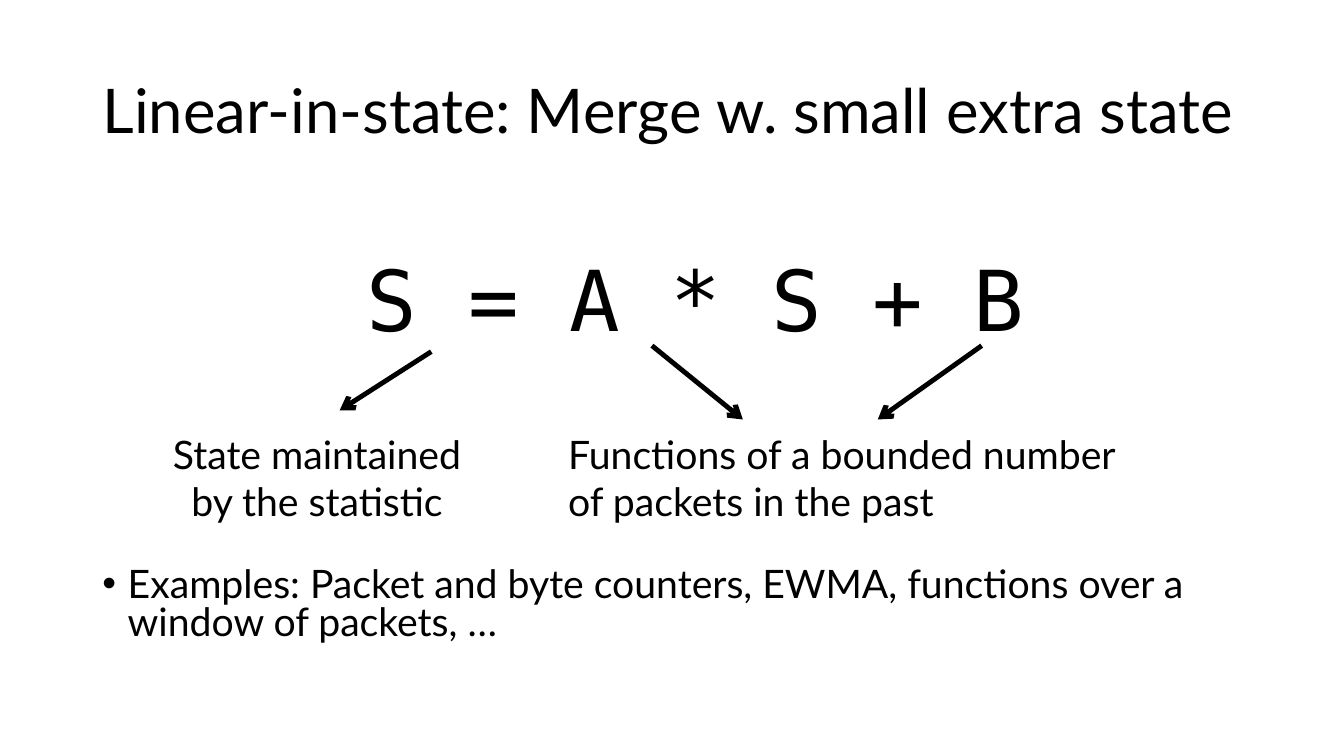
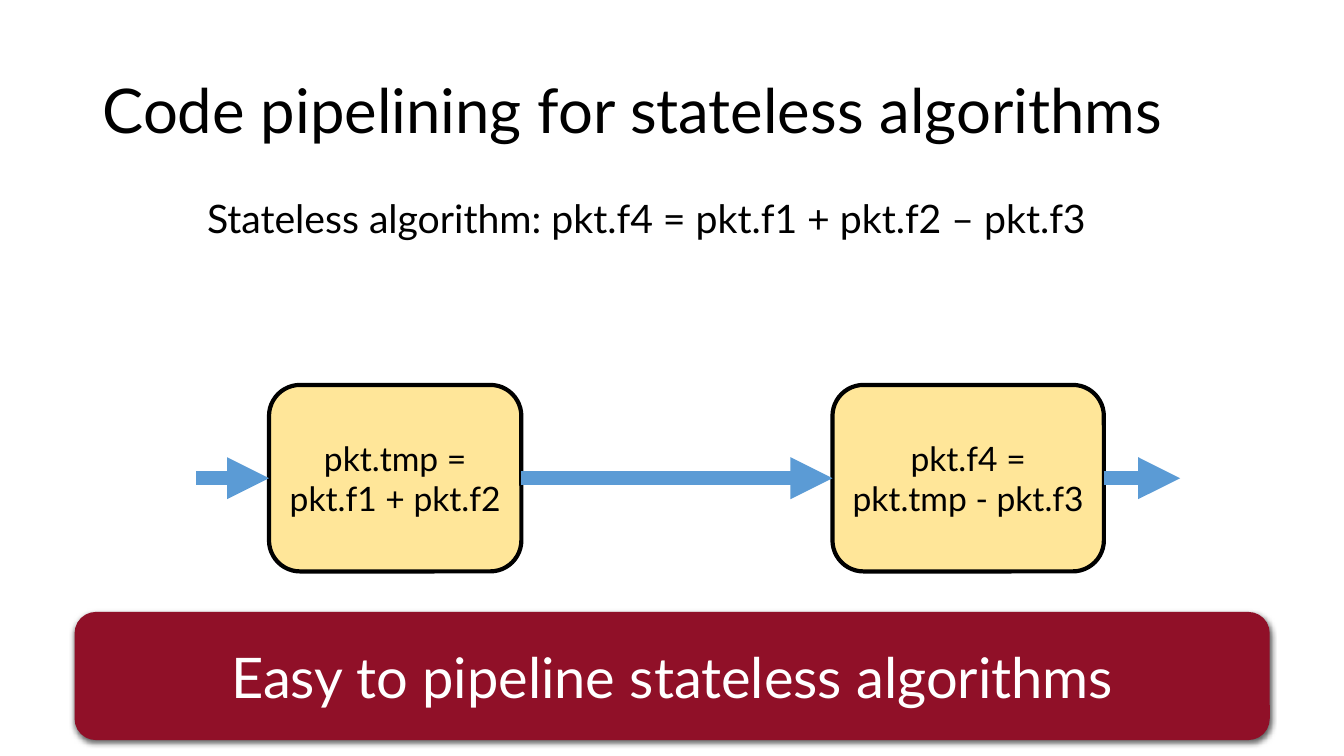
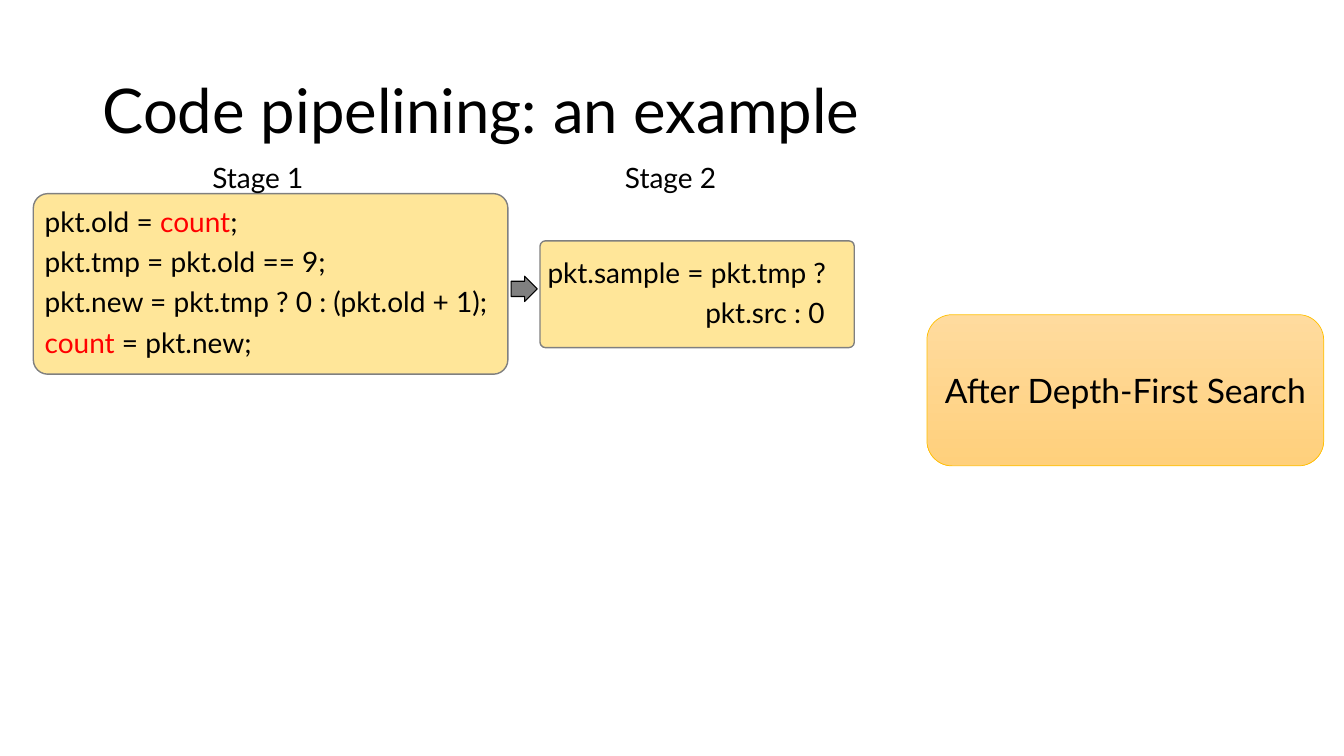
from dataclasses import dataclass
from typing import Optional

from lxml.etree import SubElement
from pptx import Presentation
from pptx.dml.color import RGBColor
from pptx.enum.shapes import MSO_CONNECTOR, MSO_SHAPE
from pptx.enum.text import MSO_ANCHOR, MSO_AUTO_SIZE, PP_ALIGN
from pptx.oxml.ns import qn
from pptx.util import Cm, Pt

BLACK = RGBColor(0x00, 0x00, 0x00)
WHITE = RGBColor(0xFF, 0xFF, 0xFF)
RED = RGBColor(0xFF, 0x00, 0x00)
GREY = RGBColor(0x80, 0x80, 0x80)
BLUE = RGBColor(0x5B, 0x9B, 0xD5)
YELLOW = RGBColor(0xFF, 0xE6, 0x99)
CRIMSON = RGBColor(0x90, 0x10, 0x28)
GOLD = RGBColor(0xFF, 0xC0, 0x00)
PEACH_TOP = RGBColor(0xFF, 0xDB, 0x9E)
PEACH_BOTTOM = RGBColor(0xFF, 0xD0, 0x7C)

FONT = "Lato"
MONO = "DejaVu Sans Mono"
STATE_VARIABLE = "count"
LEFT_SIDE, RIGHT_SIDE = 1, 3


@dataclass(frozen=True)
class Rect:
    """A place on the slide, in centimetres."""
    x: float
    y: float
    w: float
    h: float

    def emu(self) -> tuple:
        return Cm(self.x), Cm(self.y), Cm(self.w), Cm(self.h)


@dataclass(frozen=True)
class TextStyle:
    size: float
    color: RGBColor = BLACK
    font: str = FONT
    align: PP_ALIGN = PP_ALIGN.LEFT
    line_spacing: float = 1.0
    space_after: float = 0


@dataclass(frozen=True)
class Arrow:
    """A straight arrow, with its ends in centimetres."""
    x1: float
    y1: float
    x2: float
    y2: float


@dataclass(frozen=True)
class Stage:
    label: str
    label_x: float
    rect: Rect
    corner: float
    inset: float
    code: tuple


TITLE = TextStyle(44, line_spacing=0.9)
BODY = TextStyle(28)
BODY_CENTERED = TextStyle(28, align=PP_ALIGN.CENTER)
BULLET = TextStyle(28, line_spacing=0.8)
FORMULA = TextStyle(60, font=MONO, align=PP_ALIGN.CENTER)
BOX = TextStyle(24, align=PP_ALIGN.CENTER)
BANNER = TextStyle(40, WHITE, align=PP_ALIGN.CENTER)
LABEL = TextStyle(20)
CODE = TextStyle(20, line_spacing=0.9, space_after=7)

FORMULA_ARROWS = (
    Arrow(10.87, 8.86, 8.56, 10.34),
    Arrow(16.43, 8.71, 18.72, 10.57),
    Arrow(24.74, 8.71, 22.12, 10.57),
)
STAGES = (
    Stage("Stage 1", 5.1, Rect(0.84, 4.88, 11.96, 4.55), 0.08, 0.18, (
        "pkt.old = count;",
        "pkt.tmp = pkt.old == 9;",
        "pkt.new = pkt.tmp ? 0 : (pkt.old + 1);",
        "count = pkt.new;",
    )),
    Stage("Stage 2", 15.5, Rect(13.61, 6.07, 7.92, 2.69), 0.05, 0.15, (
        "pkt.sample = pkt.tmp ?",
        "                      pkt.src : 0",
    )),
)


def write(tf, lines: tuple, style: TextStyle) -> None:
    for i, line in enumerate(lines):
        p = tf.paragraphs[0] if i == 0 else tf.add_paragraph()
        p.text = line
        p.alignment = style.align
        p.line_spacing = style.line_spacing
        p.space_before = Pt(0)
        p.space_after = Pt(style.space_after)
        p.font.name = style.font
        p.font.size = Pt(style.size)
        p.font.color.rgb = style.color


def highlight(p, word: str) -> None:
    """Split the paragraph around the word and colour the word red."""
    before, found, after = p.text.partition(word)
    if not found:
        return
    p.text = ""
    for text, color in ((before, BLACK), (found, RED), (after, BLACK)):
        if text:
            r = p.add_run()
            r.text = text
            r.font.color.rgb = color


def add_title_slide(prs, title: str):
    s = prs.slides.add_slide(prs.slide_layouts[5])
    sp = s.shapes.title
    sp.left, sp.top, sp.width, sp.height = Rect(2.33, 1.01, 29.21, 3.68).emu()
    tf = sp.text_frame
    tf.auto_size = MSO_AUTO_SIZE.NONE
    tf.vertical_anchor = MSO_ANCHOR.MIDDLE
    write(tf, (title,), TITLE)
    return s


def add_text(s, rect: Rect, text: str, style: TextStyle):
    tf = s.shapes.add_textbox(*rect.emu()).text_frame
    tf.word_wrap = True
    write(tf, (text,), style)
    return tf


def add_block(s, kind: MSO_SHAPE, rect: Rect, fill: Optional[RGBColor] = None,
              line: Optional[RGBColor] = None, width: float = 1):
    sp = s.shapes.add_shape(kind, *rect.emu())
    sp.shadow.inherit = False
    if fill is not None:
        sp.fill.solid()
        sp.fill.fore_color.rgb = fill
    if line is None:
        sp.line.fill.background()
    else:
        sp.line.color.rgb = line
        sp.line.width = Pt(width)
    return sp


def add_arrow(s, arrow: Arrow, color: RGBColor, width: float, head: str):
    ends = (Cm(v) for v in (arrow.x1, arrow.y1, arrow.x2, arrow.y2))
    c = s.shapes.add_connector(MSO_CONNECTOR.STRAIGHT, *ends)
    c.line.color.rgb = color
    c.line.width = Pt(width)
    sp_pr = c._element.spPr
    SubElement(sp_pr.find(qn("a:ln")), qn("a:tailEnd"), type=head)
    SubElement(sp_pr, qn("a:effectLst"))
    return c


def add_bullet(p) -> None:
    p_pr = p._p.get_or_add_pPr()
    p_pr.set("marL", str(Cm(0.64)))
    p_pr.set("indent", str(-Cm(0.64)))
    SubElement(p_pr, qn("a:buFont"), typeface="Arial")
    SubElement(p_pr, qn("a:buChar"), char="•")


def add_soft_shadow(sp) -> None:
    effects = sp._element.spPr.find(qn("a:effectLst"))
    shadow = SubElement(effects, qn("a:outerShdw"), blurRad=str(Pt(4.5)),
                        dist=str(Pt(1.5)), dir="5400000", rotWithShape="0")
    color = SubElement(shadow, qn("a:srgbClr"), val=str(BLACK))
    SubElement(color, qn("a:alpha"), val="63000")


def build_linear_state(prs) -> None:
    s = add_title_slide(prs, "Linear-in-state: Merge w. small extra state")
    add_text(s, Rect(7.53, 6.1, 20, 2.8), "S = A * S + B", FORMULA)
    add_text(s, Rect(3.94, 10.72, 8.1, 2.64),
             "State maintained by the statistic", BODY_CENTERED)
    add_text(s, Rect(14.07, 10.72, 14.68, 2.64),
             "Functions of a bounded number of packets in the past", BODY)
    for arrow in FORMULA_ARROWS:
        add_arrow(s, arrow, BLACK, 3.5, "arrow")
    tf = s.shapes.add_textbox(*Rect(2.33, 14.2, 29.21, 2.4).emu()).text_frame
    tf.word_wrap = True
    add_bullet(tf.paragraphs[0])
    write(tf, ("Examples: Packet and byte counters, EWMA, functions over a "
               "window of packets, …",), BULLET)


def build_stateless(prs) -> None:
    s = add_title_slide(prs, "Code pipelining for stateless algorithms")
    add_text(s, Rect(4.97, 4.78, 24, 1.45),
             "Stateless algorithm: pkt.f4 = pkt.f1 + pkt.f2 – pkt.f3", BODY)

    top, height = 9.7, 4.7
    boxes = []
    for x, w, code in ((6.78, 6.36, ("pkt.tmp =", "pkt.f1 + pkt.f2")),
                       (20.98, 6.84, ("pkt.f4 =", "pkt.tmp - pkt.f3"))):
        sp = add_block(s, MSO_SHAPE.ROUNDED_RECTANGLE, Rect(x, top, w, height),
                       YELLOW, BLACK, 3)
        write(sp.text_frame, code, BOX)
        boxes.append(sp)

    first, second = boxes
    middle = top + height / 2
    for x1, x2, source, target in ((4.95, 6.78, None, first),
                                   (13.14, 20.98, first, second),
                                   (27.82, 29.74, second, None)):
        c = add_arrow(s, Arrow(x1, middle, x2, middle), BLUE, 10, "triangle")
        if source is not None:
            c.begin_connect(source, RIGHT_SIDE)
        if target is not None:
            c.end_connect(target, LEFT_SIDE)

    banner = add_block(s, MSO_SHAPE.ROUNDED_RECTANGLE,
                       Rect(1.88, 15.42, 30.12, 3.23), CRIMSON)
    add_soft_shadow(banner)
    write(banner.text_frame, ("Easy to pipeline stateless algorithms",), BANNER)


def add_stage(s, stage: Stage) -> None:
    sp = add_block(s, MSO_SHAPE.ROUNDED_RECTANGLE, stage.rect, YELLOW, GREY)
    sp.adjustments[0] = stage.corner
    tf = sp.text_frame
    tf.margin_left = tf.margin_right = Cm(stage.inset)
    tf.margin_top = tf.margin_bottom = Cm(stage.inset)
    write(tf, stage.code, CODE)
    for p in tf.paragraphs:
        highlight(p, STATE_VARIABLE)
    add_text(s, Rect(stage.label_x, 3.91, 2.95, 1.12), stage.label, LABEL)


def build_example(prs) -> None:
    s = add_title_slide(prs, "Code pipelining: an example")
    note = add_block(s, MSO_SHAPE.ROUNDED_RECTANGLE,
                     Rect(23.36, 7.93, 10, 3.81), line=GOLD, width=0.5)
    note.fill.gradient()
    note.fill.gradient_angle = 270
    for stop, color in zip(note.fill.gradient_stops, (PEACH_TOP, PEACH_BOTTOM)):
        stop.color.rgb = color
    write(note.text_frame, ("After Depth-First Search",), BOX)

    for stage in STAGES:
        add_stage(s, stage)
    arrow = add_block(s, MSO_SHAPE.RIGHT_ARROW, Rect(12.88, 6.96, 0.66, 0.64),
                      GREY, BLACK, 0.75)
    arrow.adjustments[0] = 0.6


def main() -> None:
    prs = Presentation()
    prs.slide_width, prs.slide_height = Cm(33.87), Cm(19.05)
    build_linear_state(prs)
    build_stateless(prs)
    build_example(prs)
    prs.save("out.pptx")


if __name__ == "__main__":
    main()
